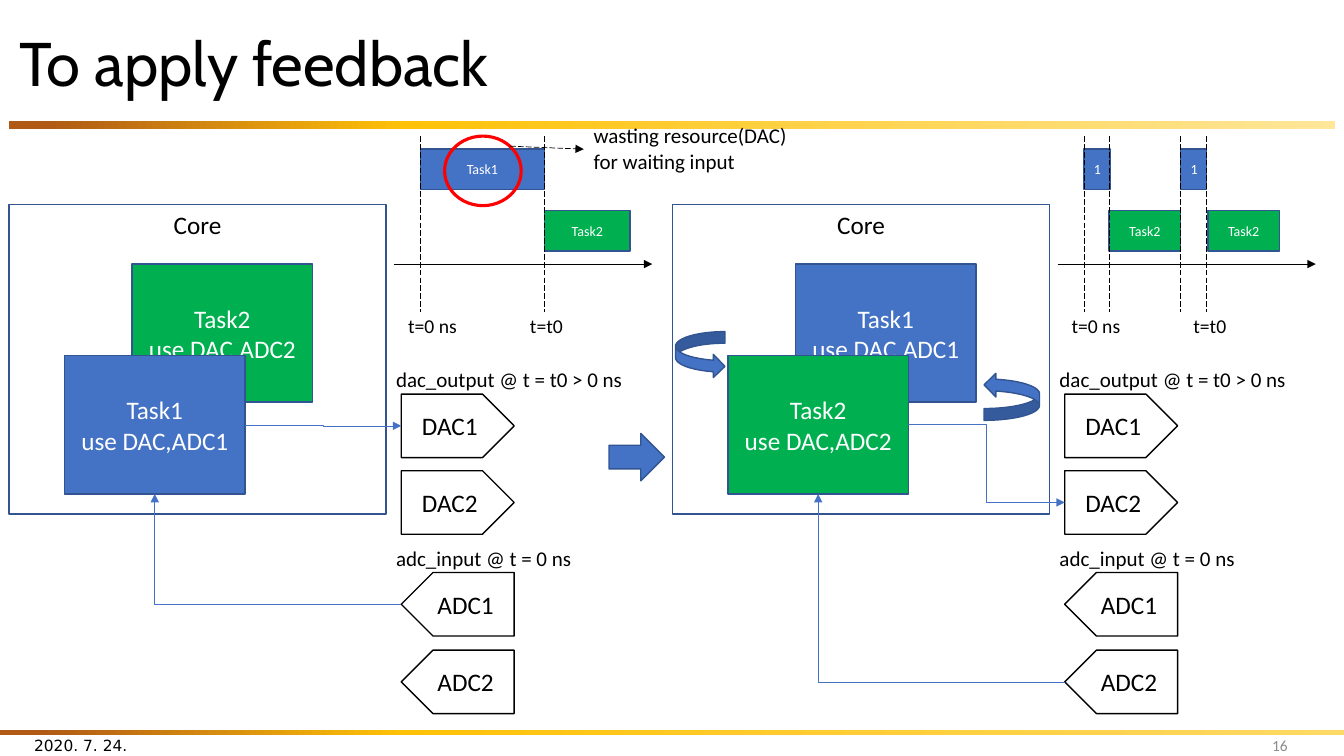
from copy import deepcopy

from lxml import etree
from pptx import Presentation
from pptx.dml.color import RGBColor
from pptx.enum.dml import MSO_LINE
from pptx.enum.shapes import MSO_CONNECTOR, MSO_SHAPE
from pptx.enum.text import MSO_ANCHOR, PP_ALIGN
from pptx.oxml.ns import qn
from pptx.util import Inches, Pt

COLORS = {
    "black": "000000", "white": "FFFFFF", "gray": "8C8C8C", "red": "FF0000",
    "blue": "4472C4", "green": "00B050", "outline": "325491",
    "brown": "B05A16", "amber": "FFC208", "cream": "FFE699", "sand": "FFD966",
}
TASK_COLORS = {"Task1": "blue", "Task2": "green", "1": "blue"}

# Decorative bars: left, top, width, height, last gradient colour
RULES = [(0.09, 1.2, 13.15, 0.08, "cream"), (0, 7.24, 13.33, 0.05, "sand")]

# Each panel: tasks from back to front, the DAC and ADC in use,
# bars of the timeline (label, left, width) and its dashed time marks
PANELS = [
    {"left": 0, "tasks": [("Task2", "ADC2"), ("Task1", "ADC1")],
     "dac": "DAC1", "adc": "ADC1",
     "bars": [("Task1", 4.17, 1.23), ("Task2", 5.4, 0.85)],
     "marks": [4.17, 5.4]},
    {"left": 6.58, "tasks": [("Task1", "ADC1"), ("Task2", "ADC2")],
     "dac": "DAC2", "adc": "ADC2",
     "bars": [("1", 10.75, 0.26), ("Task2", 11, 0.71),
              ("1", 11.71, 0.26), ("Task2", 11.98, 0.71)],
     "marks": [10.75, 11, 11.71, 11.97]},
]
TASK_SPOTS = [(1.31, 2.62), (0.64, 3.53)]
TASK_SIZE = (1.79, 1.37)
PORT_TOPS = {"DAC1": 3.91, "DAC2": 4.67, "ADC1": 5.68, "ADC2": 6.45}
PORT_LEFT, PORT_WIDTH, PORT_HEIGHT = 3.98, 1.12, 0.63
PORT_TITLES = [("dac_output @ t = t0 > 0 ns", 3.59), ("adc_input @ t = 0 ns", 5.36)]
TIME_LABELS = [("t=0 ns", 3.92), ("t=t0", 5.05)]

# Block arrows: preset, left, top, width, height, rotation
BLOCK_ARROWS = [
    (MSO_SHAPE.CURVED_RIGHT_ARROW, 6.7, 3.29, 0.49, 0.46, 0),
    (MSO_SHAPE.CURVED_RIGHT_ARROW, 9.76, 3.7, 0.55, 0.47, 180),
    (MSO_SHAPE.RIGHT_ARROW, 6.04, 4.3, 0.55, 0.47, 0),
]

deck = Presentation()
deck.slide_width, deck.slide_height = Inches(13.33), Inches(7.5)
page = deck.slides.add_slide(deck.slide_layouts[6])


def color(name):
    return RGBColor.from_string(COLORS[name])


def write(box, text, size=18, font="Calibri", ink="black", align=PP_ALIGN.CENTER,
          anchor=MSO_ANCHOR.MIDDLE, spacing=None):
    frame = box.text_frame
    frame.word_wrap = True
    frame.vertical_anchor = anchor
    for index, line in enumerate(text.split("\n")):
        para = frame.add_paragraph() if index else frame.paragraphs[0]
        para.alignment = align
        if spacing:
            para.line_spacing = spacing
        span = para.add_run()
        span.text = line
        span.font.size = Pt(size)
        span.font.name = font
        span.font.color.rgb = color(ink)


def label(text, left, top, width, height, **style):
    box = page.shapes.add_textbox(*map(Inches, (left, top, width, height)))
    write(box, text, **style)


def shape(preset, left, top, width, height, fill=None, line="outline", weight=1):
    item = page.shapes.add_shape(preset, *map(Inches, (left, top, width, height)))
    item.shadow.inherit = False
    if fill:
        item.fill.solid()
        item.fill.fore_color.rgb = color(fill)
    else:
        item.fill.background()
    if line:
        item.line.color.rgb = color(line)
        item.line.width = Pt(weight)
    else:
        item.line.fill.background()
    return item


def connect(start, end, ink="black", kind=MSO_CONNECTOR.STRAIGHT, dash=False,
            head=False, tail=False):
    wire = page.shapes.add_connector(kind, *map(Inches, (*start, *end)))
    wire.line.color.rgb = color(ink)
    wire.line.width = Pt(0.5)
    if dash:
        wire.line.dash_style = MSO_LINE.LONG_DASH
    outline = wire.line._get_or_add_ln()
    for tag, wanted in (("a:headEnd", head), ("a:tailEnd", tail)):
        if wanted:
            etree.SubElement(outline, qn(tag), type="triangle")
    etree.SubElement(wire._element.spPr, qn("a:effectLst"))
    return wire


def gradient_rule(left, top, width, height, last):
    fill = shape(MSO_SHAPE.RECTANGLE, left, top, width, height, line=None).fill
    fill.gradient()
    fill.gradient_angle = 0
    stop_list = fill._fill._gradFill.find(qn("a:gsLst"))
    stop_list.append(deepcopy(stop_list[0]))
    for stop, place, name in zip(fill.gradient_stops, (0.03, 0.3, 1),
                                 ("brown", "amber", last)):
        stop.position = place
        stop.color.rgb = color(name)


def draw_panel(panel):
    shift = panel["left"]

    # Core with its two tasks
    for (task, adc), (left, top) in zip(panel["tasks"], TASK_SPOTS):
        box = shape(MSO_SHAPE.RECTANGLE, left + shift, top, *TASK_SIZE,
                    fill=TASK_COLORS[task])
        write(box, f"{task}\nuse DAC,{adc}", ink="white")
    core = shape(MSO_SHAPE.RECTANGLE, 0.09 + shift, 2.03, 3.74, 3.07)
    write(core, "Core", anchor=MSO_ANCHOR.TOP)

    # Converter ports
    for name, top in PORT_TOPS.items():
        port = shape(MSO_SHAPE.PENTAGON, PORT_LEFT + shift, top, PORT_WIDTH,
                     PORT_HEIGHT, line="black")
        if name.startswith("ADC"):
            port._element.spPr.find(qn("a:xfrm")).set("flipH", "1")
        write(port, name)
    for text, top in PORT_TITLES:
        label(text, 3.83 + shift, top, 2.54, 0.35, size=15, align=PP_ALIGN.LEFT,
              anchor=MSO_ANCHOR.TOP)

    # Wires between the front task and the ports in use
    left, top = TASK_SPOTS[1]
    width, height = TASK_SIZE
    port_left = PORT_LEFT + shift
    dac_middle, adc_middle = (PORT_TOPS[panel[key]] + PORT_HEIGHT / 2
                              for key in ("dac", "adc"))
    connect((left + width + shift, top + height / 2), (port_left, dac_middle),
            ink="blue", kind=MSO_CONNECTOR.ELBOW, tail=True)
    wire = connect((left + width / 2 + shift, top + height), (port_left, adc_middle),
                   ink="blue", kind=MSO_CONNECTOR.ELBOW, tail=True)
    properties = wire._element.spPr
    properties.find(qn("a:prstGeom")).set("prst", "bentConnector2")
    properties.find(qn("a:xfrm")).set("rot", "10800000")

    # Timeline
    for text, bar_left, bar_width in panel["bars"]:
        bar_top = 2.09 if text == "Task2" else 1.48
        bar = shape(MSO_SHAPE.RECTANGLE, bar_left, bar_top, bar_width, 0.4,
                    fill=TASK_COLORS[text])
        write(bar, text, size=10, ink="white")
    connect((3.91 + shift, 2.62), (6.47 + shift, 2.62), tail=True)
    for mark in panel["marks"]:
        connect((mark, 1.35), (mark, 3.1), dash=True)
    for text, text_left in TIME_LABELS:
        label(text, text_left + shift, 3.07, 0.74, 0.34, size=14,
              anchor=MSO_ANCHOR.TOP)


# Frame of the slide
for rule in RULES:
    gradient_rule(*rule)
label("To apply feedback", 0.09, 0.17, 13.15, 0.98, size=44, font="Cabin",
      align=PP_ALIGN.LEFT, spacing=0.9)
label("2020. 7. 24.", 0.24, 7.19, 3, 0.4, size=11, font="DejaVu Sans",
      align=PP_ALIGN.LEFT)
label("16", 9.87, 7.19, 3, 0.4, size=11, ink="gray", align=PP_ALIGN.RIGHT)

for panel in PANELS:
    draw_panel(panel)

# Swap arrows and the step from left to right
for preset, left, top, width, height, turn in BLOCK_ARROWS:
    shape(preset, left, top, width, height, fill="blue").rotation = turn

# Remark on the waiting time
shape(MSO_SHAPE.OVAL, 4.41, 1.35, 0.76, 0.69, line="red", weight=2.25)
connect((5.06, 1.45), (5.79, 1.48), dash=True, tail=True)
label("wasting resource(DAC)\nfor waiting input", 5.79, 1.17, 2.54, 0.61, size=15,
      align=PP_ALIGN.LEFT, anchor=MSO_ANCHOR.TOP)

deck.save("out.pptx")
